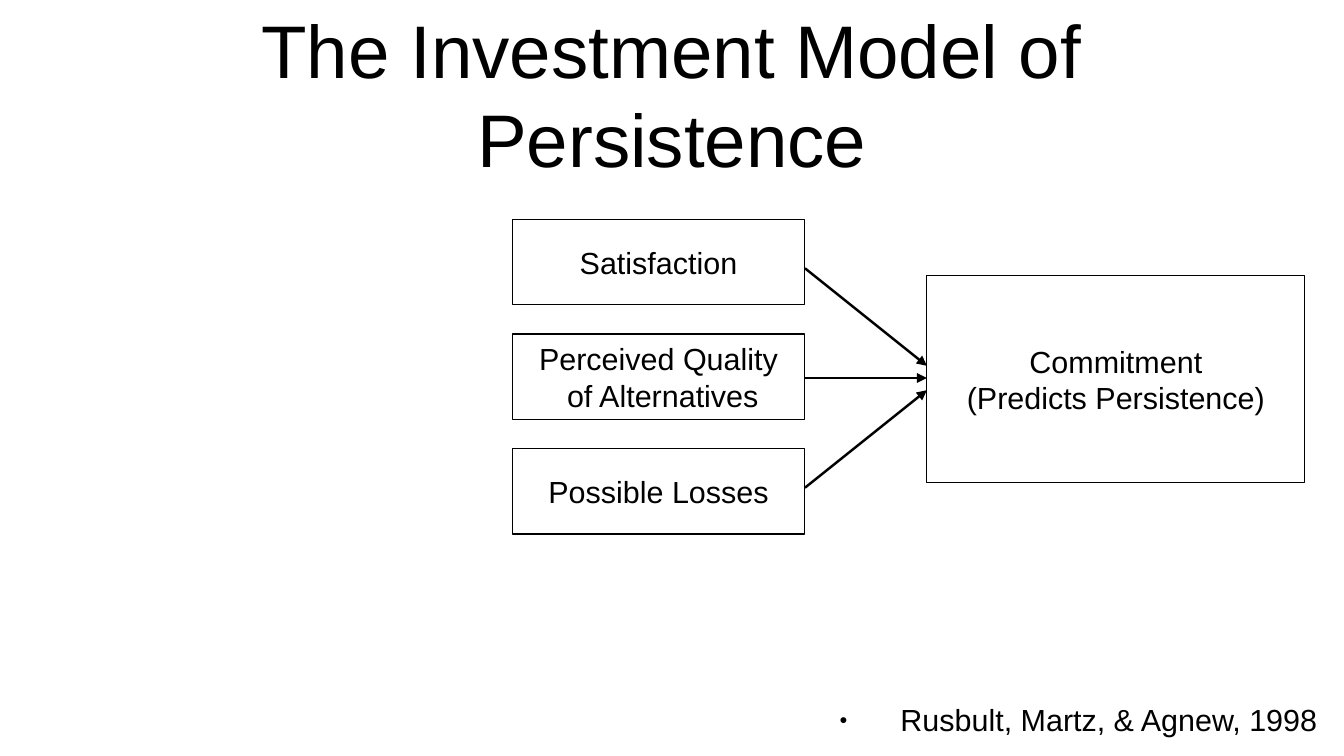
from dataclasses import dataclass

import pptx
import pptx.dml.color
import pptx.enum.shapes
import pptx.enum.text
import pptx.oxml
import pptx.oxml.ns
import pptx.shapes.autoshape
import pptx.slide
import pptx.text.text
import pptx.util

Inches = pptx.util.Inches
Align = pptx.enum.text.PP_ALIGN
Anchor = pptx.enum.text.MSO_ANCHOR


@dataclass(frozen=True)
class Theme:
    font: str = "Arial"
    ink: pptx.dml.color.RGBColor = pptx.dml.color.RGBColor(0, 0, 0)
    paper: pptx.dml.color.RGBColor = pptx.dml.color.RGBColor(255, 255, 255)
    title_size: float = 44
    body_size: float = 18
    outline: float = 0.75
    arrow: float = 1.45


@dataclass(frozen=True)
class Box:
    left: float
    top: float
    width: float
    height: float
    lines: tuple[str, ...]


@dataclass(frozen=True)
class Arrow:
    start_y: float
    end_y: float


THEME = Theme()

# Model content: three factors stacked evenly, leading to commitment
FACTOR_LEFT, FACTOR_TOP, FACTOR_WIDTH, FACTOR_PITCH = 4.2, 1.8, 2.4, 0.94
FACTOR_LINES = (
    ("Satisfaction",),
    ("Perceived Quality", " of Alternatives"),
    ("Possible Losses",),
)
FACTORS = [
    Box(FACTOR_LEFT, FACTOR_TOP + row * FACTOR_PITCH, FACTOR_WIDTH, 0.7, lines)
    for row, lines in enumerate(FACTOR_LINES)
]
COMMITMENT = Box(7.6, 2.26, 3.1, 1.7, ("Commitment", "(Predicts Persistence)"))
ARROWS = [Arrow(3.1 + 0.9 * step, 3.1 + 0.1 * step) for step in (-1, 0, 1)]


def add_text(paragraph: pptx.text.text._Paragraph, text: str, size: float,
             align: Align) -> None:
    paragraph.alignment = align
    run = paragraph.add_run()
    run.text = text
    run.font.name = THEME.font
    run.font.size = pptx.util.Pt(size)
    run.font.color.rgb = THEME.ink


def set_insets(frame: pptx.text.text.TextFrame, side: float, edge: float) -> None:
    frame.margin_left = frame.margin_right = Inches(side)
    frame.margin_top = frame.margin_bottom = Inches(edge)


def place_title(slide: pptx.slide.Slide, text: str) -> None:
    title = slide.shapes.title
    title.left, title.top = Inches(0.55), Inches(0.08)
    title.width, title.height = Inches(9.92), Inches(1.37)
    frame = title.text_frame
    frame.auto_size = pptx.enum.text.MSO_AUTO_SIZE.NONE
    frame.word_wrap = True
    frame.vertical_anchor = Anchor.MIDDLE
    set_insets(frame, 0, 0)
    add_text(frame.paragraphs[0], text, THEME.title_size, Align.CENTER)


def add_box(slide: pptx.slide.Slide, box: Box) -> pptx.shapes.autoshape.Shape:
    shape = slide.shapes.add_shape(
        pptx.enum.shapes.MSO_SHAPE.RECTANGLE,
        Inches(box.left), Inches(box.top), Inches(box.width), Inches(box.height))
    shape.shadow.inherit = False
    shape.fill.solid()
    shape.fill.fore_color.rgb = THEME.paper
    shape.line.color.rgb = THEME.ink
    shape.line.width = pptx.util.Pt(THEME.outline)
    frame = shape.text_frame
    frame.word_wrap = False
    frame.vertical_anchor = Anchor.MIDDLE
    set_insets(frame, 0.1, 0.05)
    for index, line in enumerate(box.lines):
        paragraph = frame.add_paragraph() if index else frame.paragraphs[0]
        add_text(paragraph, line, THEME.body_size, Align.CENTER)
    return shape


def add_arrow(slide: pptx.slide.Slide, arrow: Arrow) -> None:
    connector = slide.shapes.add_connector(
        pptx.enum.shapes.MSO_CONNECTOR.STRAIGHT,
        Inches(FACTOR_LEFT + FACTOR_WIDTH), Inches(arrow.start_y),
        Inches(COMMITMENT.left), Inches(arrow.end_y))
    connector.line.color.rgb = THEME.ink
    connector.line.width = pptx.util.Pt(THEME.arrow)
    line = connector.line._get_or_add_ln()
    line.append(pptx.oxml.parse_xml(
        f'<a:tailEnd {pptx.oxml.ns.nsdecls("a")} type="triangle"/>'))
    connector._element.spPr.append(pptx.oxml.parse_xml(
        f'<a:effectLst {pptx.oxml.ns.nsdecls("a")}/>'))


def add_citation(slide: pptx.slide.Slide, text: str) -> None:
    citation = slide.shapes.add_textbox(
        Inches(6.7), Inches(5.7), Inches(4.2), Inches(0.38))
    frame = citation.text_frame
    frame.word_wrap = True
    set_insets(frame, 0.1, 0.05)
    paragraph = frame.paragraphs[0]
    # Small bullet with a hanging indent
    properties = paragraph._p.get_or_add_pPr()
    properties.set("marL", str(Inches(0.5)))
    properties.set("indent", str(Inches(-0.5)))
    for bullet in (
        f'<a:buClr {{ns}}><a:srgbClr val="{THEME.ink}"/></a:buClr>',
        '<a:buSzPct {ns} val="45000"/>',
        f'<a:buFont {{ns}} typeface="{THEME.font}"/>',
        '<a:buChar {ns} char="●"/>',
    ):
        properties.append(pptx.oxml.parse_xml(
            bullet.format(ns=pptx.oxml.ns.nsdecls("a"))))
    add_text(paragraph, text, THEME.body_size, Align.RIGHT)


def main() -> None:
    deck = pptx.Presentation()
    deck.slide_width, deck.slide_height = Inches(11.02), Inches(6.2)
    slide = deck.slides.add_slide(deck.slide_layouts.get_by_name("Title Only"))
    slide.background.fill.solid()
    slide.background.fill.fore_color.rgb = THEME.paper

    place_title(slide, "The Investment Model of Persistence")
    for box in (*FACTORS, COMMITMENT):
        add_box(slide, box)
    for arrow in ARROWS:
        add_arrow(slide, arrow)
    add_citation(slide, "Rusbult, Martz, & Agnew, 1998")
    deck.save("out.pptx")


if __name__ == "__main__":
    main()
